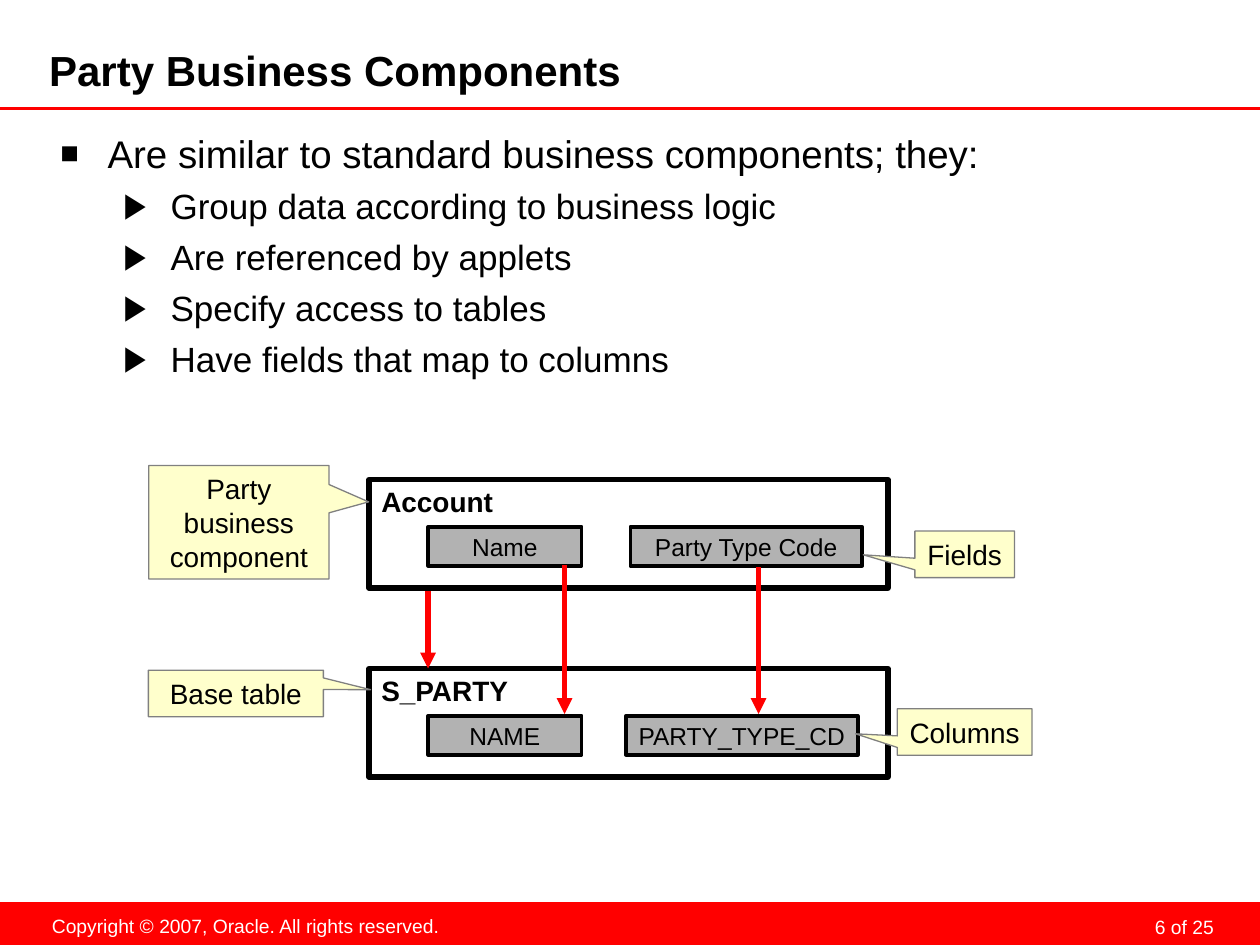
from lxml.etree import SubElement
from pptx import Presentation
from pptx.dml.color import RGBColor
from pptx.enum.shapes import MSO_CONNECTOR as CONN, MSO_SHAPE as SHAPE
from pptx.enum.text import MSO_ANCHOR as ANCHOR, PP_ALIGN as ALIGN
from pptx.oxml.ns import qn
from pptx.util import Pt

BLACK, WHITE, RED = "000000", "FFFFFF", "FF0000"
GRAY, YELLOW, EDGE = "B2B2B2", "FFFFCC", "808080"
BULLETS = [
    (0, "Are similar to standard business components; they:"),
    (1, "Group data according to business logic"),
    (1, "Are referenced by applets"),
    (1, "Specify access to tables"),
    (1, "Have fields that map to columns"),
]
LEVELS = [dict(char="■", scale=80, left=27, size=22, before=0),
          dict(char="▶", scale=100, left=63, size=20, before=5)]


def rgb(value):
    """Turn a hex string into a colour."""
    return RGBColor.from_string(value)


def write(p, text, size=16, color=BLACK, bold=False, align=ALIGN.LEFT):
    """Put formatted text in a paragraph."""
    p.alignment = align
    r = p.add_run()
    r.text = text
    r.font.name, r.font.size, r.font.bold = "Arial", Pt(size), bold
    r.font.color.rgb = rgb(color)


def frame(s, anchor=ANCHOR.TOP, wrap=True, insets=(7.2, 3.6, 7.2, 3.6)):
    """Set up the text frame of a shape and return it."""
    tf = s.text_frame
    tf.word_wrap, tf.vertical_anchor = wrap, anchor
    tf.margin_left, tf.margin_top, tf.margin_right, tf.margin_bottom = map(Pt, insets)
    return tf


def add_text(sp, box, text, anchor=ANCHOR.TOP, wrap=True,
             insets=(7.2, 3.6, 7.2, 3.6), **fmt):
    """Add a one-paragraph text box and return its paragraph."""
    p = frame(sp.add_textbox(*map(Pt, box)), anchor, wrap, insets).paragraphs[0]
    write(p, text, **fmt)
    return p


def add_box(sp, box, kind=SHAPE.RECTANGLE, fill=None, line=None, width=1,
            text=None, wrap=False, size=16):
    """Add a preset shape with optional fill, outline and centred text."""
    s = sp.add_shape(kind, *map(Pt, box))
    s.shadow.inherit = False
    if fill:
        s.fill.solid()
        s.fill.fore_color.rgb = rgb(fill)
    else:
        s.fill.background()
    if line:
        s.line.color.rgb, s.line.width = rgb(line), Pt(width)
    else:
        s.line.fill.background()
    if text:
        tf = frame(s, ANCHOR.MIDDLE, wrap)
        write(tf.paragraphs[0], text, size=size, align=ALIGN.CENTER)
    return s


def add_line(sp, x1, y1, x2, y2, width, arrow=False):
    """Add a red line, with an arrowhead at its end if asked."""
    s = sp.add_connector(CONN.STRAIGHT, *map(Pt, (x1, y1, x2, y2)))
    s.line.color.rgb, s.line.width = rgb(RED), Pt(width)
    if arrow:
        SubElement(s.line._get_or_add_ln(), qn("a:tailEnd"), type="triangle")
    SubElement(s._element.spPr, qn("a:effectLst"))


def add_header(sp, x, y, w, h):
    """Place the title and the rule below it."""
    add_text(sp, (x + 28.1, y + 27.4, 566.6, 28.8), "Party Business Components",
             anchor=ANCHOR.MIDDLE, insets=(0, 0, 3.6, 3.6), size=24, bold=True)
    add_line(sp, x, y + h, x + w, y + h, 1.75)


def add_footer(sp, x, y, w, h):
    """Place the red band, the copyright line and the page number."""
    add_box(sp, (x, y, w, h), fill=RED)
    add_text(sp, (x + 22, y + 3.2, 236.9, 20.9),
             "Copyright © 2007, Oracle. All rights reserved.",
             wrap=False, size=11, color=WHITE, align=ALIGN.CENTER)
    p = add_text(sp, (x + w - 190.4, y + 2.5, 167.7, 18), "6 of 25",
                 insets=(3.6, 0, 3.6, 0), size=11, color=WHITE, align=ALIGN.RIGHT)
    p.line_spacing = Pt(18)


def add_bullets(sp, *box):
    """Place the two-level bullet list."""
    tf = frame(sp.add_textbox(*map(Pt, box)), insets=(7.2, 7.2, 7.2, 3.6))
    for i, (level, text) in enumerate(BULLETS):
        look = LEVELS[level]
        p = tf.add_paragraph() if i else tf.paragraphs[0]
        p.level = level
        pPr = p._p.get_or_add_pPr()
        pPr.set("marL", str(Pt(look["left"])))
        pPr.set("indent", str(Pt(-27)))
        color = SubElement(pPr, qn("a:buClr"))
        SubElement(color, qn("a:srgbClr"), val=BLACK)
        SubElement(pPr, qn("a:buSzPct"), val=str(look["scale"] * 1000))
        SubElement(pPr, qn("a:buFont"), typeface="Arial")
        SubElement(pPr, qn("a:buChar"), char=look["char"])
        p.space_before = Pt(look["before"])
        write(p, text, size=look["size"])


def add_entity(sp, x, y, w, h, name, fields):
    """Place a framed entity with its name and its field boxes."""
    add_box(sp, (x, y, w, h), line=BLACK, width=3)
    add_text(sp, (x, y - 0.5, 156, 26.6), name, bold=True)
    for left, width, text in fields:
        add_box(sp, (x + left, y + 27, width, 22.3), fill=GRAY, line=BLACK,
                width=2, text=text, size=14)


def add_diagram(sp, x, y, w, h):
    """Place the two entities, the arrows between them and the callouts."""
    tall, name_w, code_w = 62, 87.8, 132.5
    low = y + h - tall
    add_entity(sp, x, y, w, tall, "Account",
               [(33.8, name_w, "Name"), (149.4, code_w, "Party Type Code")])
    add_entity(sp, x, low, w, tall, "S_PARTY",
               [(33.8, name_w, "NAME"), (146.9, code_w, "PARTY_TYPE_CD")])
    for left, top, bottom in [(33.8, y + tall + 1.5, low),
                              (111.8, y + 49, low + 26),
                              (222.7, y + 50, low + 26)]:
        add_line(sp, x + left, top, x + left, bottom, 3, arrow=True)
    callouts = [
        ((312, 29.5, 56.9, 26.6), (-1.02, 0.01), False, "Fields"),
        ((302, 131, 77, 26.6), (-0.81, 0.04), False, "Columns"),
        ((-125.8, -7.9, 103, 64.8), (0.72, -0.18), True,
         "Party business component"),
        ((-126, 109, 100, 26.6), (0.77, -0.08), False, "Base table"),
    ]
    for (left, top, width, height), tip, wrap, text in callouts:
        s = add_box(sp, (x + left, y + top, width, height),
                    SHAPE.RECTANGULAR_CALLOUT, YELLOW, EDGE, 0.75, text, wrap)
        s.adjustments[0], s.adjustments[1] = tip


def main():
    """Build the slide and save it."""
    prs = Presentation()
    prs.slide_width, prs.slide_height = Pt(720), Pt(540)
    sp = prs.slides.add_slide(prs.slide_layouts[6]).shapes
    add_footer(sp, 0, 515.5, 720, 24.5)
    add_header(sp, 0, 0, 720, 62)
    add_bullets(sp, 27.4, 67, 669.6, 444)
    add_diagram(sp, 210.8, 274, 296.6, 170)
    prs.save("out.pptx")


if __name__ == "__main__":
    main()
